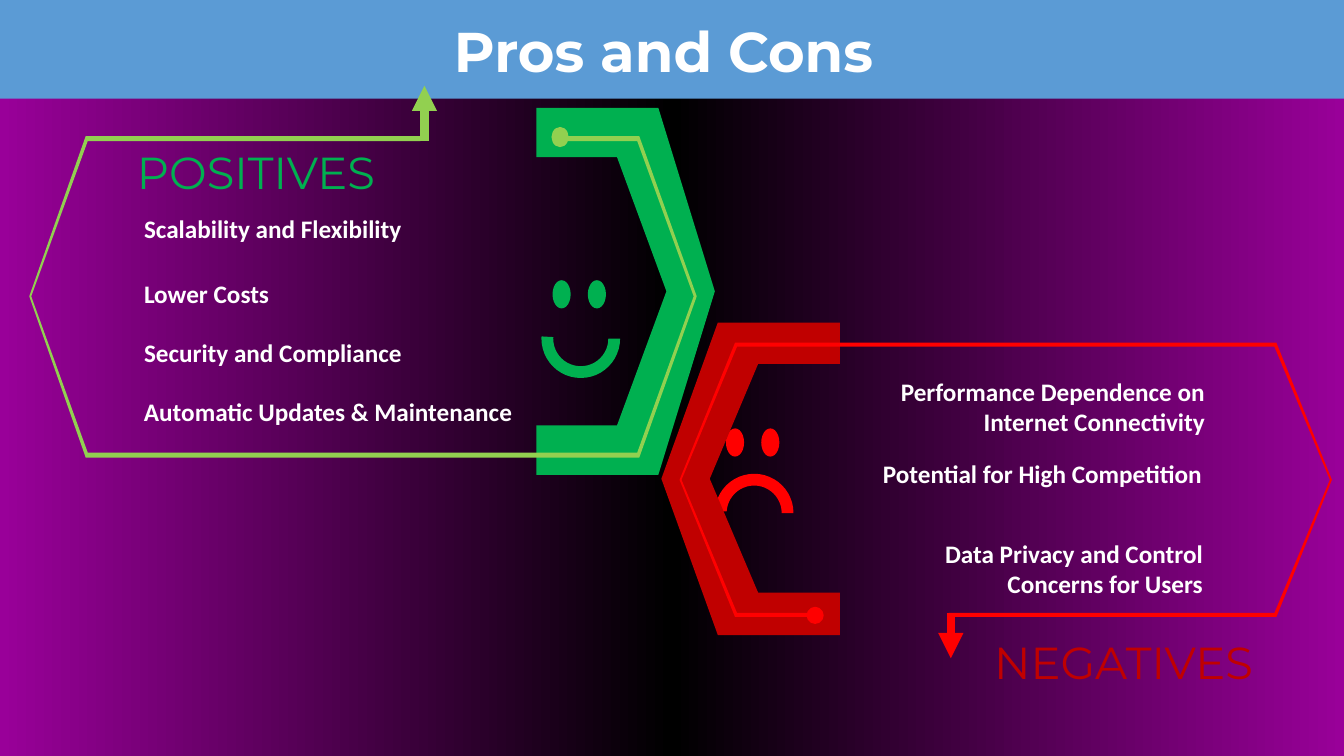
from copy import deepcopy
from lxml.etree import SubElement
from pptx import Presentation
from pptx.dml.color import RGBColor
from pptx.enum.shapes import MSO_CONNECTOR, MSO_SHAPE
from pptx.enum.text import MSO_ANCHOR, MSO_AUTO_SIZE, PP_ALIGN
from pptx.oxml.ns import qn
from pptx.util import Pt

PX = 9144
WHITE = RGBColor(0xFF, 0xFF, 0xFF)
BLACK = RGBColor(0x00, 0x00, 0x00)
PURPLE = RGBColor(0x99, 0x00, 0x99)
BLUE = RGBColor(0x5B, 0x9B, 0xD5)
GREEN = RGBColor(0x00, 0xB0, 0x50)
LIME = RGBColor(0x92, 0xD0, 0x50)
RED = RGBColor(0xFF, 0x00, 0x00)
DARK_RED = RGBColor(0xC0, 0x00, 0x00)

prs = Presentation()
prs.slide_width, prs.slide_height = 1333 * PX, 750 * PX
s = prs.slides.add_slide(prs.slide_layouts[5])


def paint(sp, color):
    sp.shadow.inherit = False
    sp.fill.solid()
    sp.fill.fore_color.rgb = color
    sp.line.fill.background()
    return sp


def write(sp, text, align, font):
    tf = sp.text_frame
    tf.word_wrap = True
    tf.auto_size = MSO_AUTO_SIZE.NONE
    tf.vertical_anchor = MSO_ANCHOR.TOP
    p = tf.paragraphs[0]
    p.alignment = align
    r = p.add_run()
    r.text = text
    r.font.color.rgb = font["color"]
    for name in ("name", "size", "bold"):
        setattr(r.font, name, font[name])


fill = s.background.fill
fill.gradient()
fill.gradient_angle = 0
stops = next(s.element.iter(qn("a:gsLst")))
stops.append(deepcopy(stops[0]))
for stop, position, color in zip(fill.gradient_stops, (0, 0.5, 1), (PURPLE, BLACK, PURPLE)):
    stop.position = position
    stop.color.rgb = color

paint(s.shapes.add_shape(MSO_SHAPE.RECTANGLE, 0, 0, 1333 * PX, 98 * PX), BLUE)

item = {"name": "Calibri", "size": Pt(18), "bold": True, "color": WHITE}
heading = {"name": "Montserrat", "size": Pt(32), "bold": False}
for text, box, align, font in [
    ("Scalability and Flexibility", (133, 207, 309, 40), PP_ALIGN.LEFT, item),
    ("Lower Costs", (133, 271, 309, 40), PP_ALIGN.LEFT, item),
    ("Security and Compliance", (133, 330, 309, 40), PP_ALIGN.LEFT, item),
    ("Automatic Updates & Maintenance", (133, 388, 400, 40), PP_ALIGN.LEFT, item),
    ("POSITIVES", (99, 139, 310, 64), PP_ALIGN.CENTER, {**heading, "color": GREEN}),
    ("Performance Dependence on Internet Connectivity", (850, 368, 355, 71), PP_ALIGN.RIGHT, item),
    ("Potential for High Competition", (814, 450, 388, 40), PP_ALIGN.RIGHT, item),
    ("Data Privacy and Control Concerns for Users", (874, 529, 329, 71), PP_ALIGN.RIGHT, item),
    ("NEGATIVES", (943, 625, 343, 64), PP_ALIGN.CENTER, {**heading, "color": DARK_RED}),
]:
    write(s.shapes.add_textbox(*(v * PX for v in box)), text, align, font)

for x, eye_y, mouth_y, angles, color in [
    (537, 278, 297, (0, 109.99), GREEN),
    (709, 425, 470, (109.99, 0), RED),
]:
    mouth = paint(s.shapes.add_shape(MSO_SHAPE.BLOCK_ARC, x * PX, mouth_y * PX, 78 * PX, 78 * PX), color)
    for i, value in enumerate((*angles, 0.15)):
        mouth.adjustments[i] = value
    for dx in (11, 46):
        paint(s.shapes.add_shape(MSO_SHAPE.OVAL, (x + dx) * PX, eye_y * PX, 18 * PX, 28 * PX), color)

green_band = [(532, 107), (653, 107), (709, 289), (653, 471), (532, 471),
              (532, 422), (612, 422), (661, 289), (612, 156), (532, 156)]
lime_frame = [(85, 135), (417, 135), (417, 140), (87, 140), (31, 294), (87, 449),
              (632, 449), (688, 294), (632, 140), (549, 140), (549, 135),
              (634, 135), (691, 294), (634, 454), (85, 454), (29, 294)]
red_band = [(833, 630), (712, 630), (656, 475), (712, 320), (833, 320),
            (833, 361), (752, 361), (704, 475), (752, 588), (833, 588)]
red_frame = [(1266, 612), (941, 612), (941, 608), (1264, 608), (1319, 476), (1264, 344),
             (731, 344), (676, 476), (731, 608), (812, 608), (812, 612),
             (729, 612), (674, 476), (729, 340), (1266, 340), (1321, 476)]
for band, frame, band_color, color, arrow, dot in [
    (green_band, lime_frame, GREEN, LIME, (421, 140, 421, 85), (547, 126, 17, 20)),
    (red_band, red_frame, DARK_RED, RED, (943, 608, 943, 653), (800, 602, 17, 17)),
]:
    for points, shade in ((band, band_color), (frame, color)):
        outline = s.shapes.build_freeform(*points[0], scale=PX)
        outline.add_line_segments(points[1:], close=True)
        paint(outline.convert_to_shape(), shade)
    c = s.shapes.add_connector(MSO_CONNECTOR.STRAIGHT, *(v * PX for v in arrow))
    c.line.color.rgb = color
    c.line.width = Pt(6)
    SubElement(c.line._get_or_add_ln(), qn("a:tailEnd"), type="triangle")
    SubElement(c._element.spPr, qn("a:effectLst"))
    paint(s.shapes.add_shape(MSO_SHAPE.OVAL, *(v * PX for v in dot)), color)

title = s.shapes.title
for name, value in {"left": 178, "top": 11, "width": 976, "height": 77}.items():
    setattr(title, name, value * PX)
write(title, "Pros and Cons ", PP_ALIGN.CENTER, {**heading, "size": Pt(40), "bold": True, "color": WHITE})
s.shapes._spTree.append(title._element)

prs.save("out.pptx")
